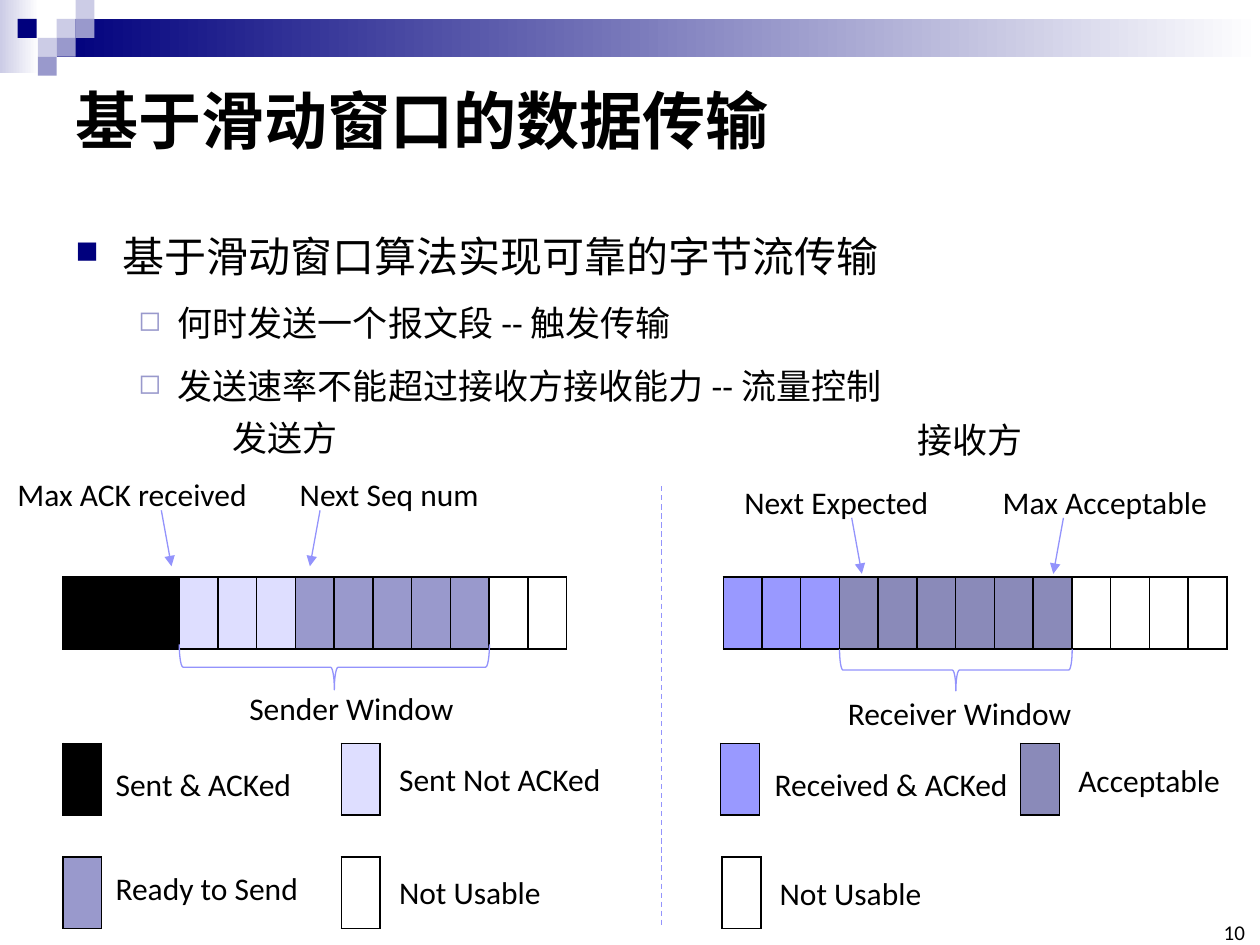
from lxml.etree import SubElement
from pptx import Presentation
from pptx.dml.color import RGBColor
from pptx.enum.dml import MSO_LINE
from pptx.enum.shapes import MSO_CONNECTOR, MSO_SHAPE
from pptx.enum.text import MSO_ANCHOR, MSO_AUTO_SIZE, PP_ALIGN
from pptx.oxml.ns import qn
from pptx.util import Pt

CELL = 288 / 13
HIGH = 41.04
BLACK, WHITE, NAVY = "000000", "FFFFFF", "00007D"
PALE, MID, LILAC = "CCCCE6", "9999CC", "DEDEFF"
BLUE, SLATE, LINE = "9999FF", "8A8AB9", "9393FC"


def color(code):
    return RGBColor.from_string(code)


def write(para, text, size=18, font="Calibri", bold=False, align=None):
    run = para.add_run()
    run.text = text
    run.font.size = Pt(size)
    run.font.bold = bold
    run.font.name = font
    run.font.color.rgb = color(BLACK)
    SubElement(run._r.get_or_add_rPr(), qn("a:ea"), typeface=font)
    if align is not None:
        para.alignment = align


class Board:
    def __init__(self, slide):
        self.slide = slide
        self.shapes = slide.shapes

    def rect(self, x, y, w, h, fill, end=None):
        shape = self.shapes.add_shape(MSO_SHAPE.RECTANGLE, Pt(x), Pt(y), Pt(w), Pt(h))
        shape.shadow.inherit = False
        shape.line.fill.background()
        if end:
            shape.fill.gradient()
            shape.fill.gradient_angle = 0
            for stop, code in zip(shape.fill.gradient_stops, (fill, end)):
                stop.color.rgb = color(code)
        else:
            shape.fill.solid()
            shape.fill.fore_color.rgb = color(fill)

    def frame(self, x, y, w, h, wrap=True, anchor=MSO_ANCHOR.TOP):
        frame = self.shapes.add_textbox(Pt(x), Pt(y), Pt(w), Pt(h)).text_frame
        frame.word_wrap = wrap
        frame.vertical_anchor = anchor
        return frame

    def label(self, x, y, w, text, h=28.8, **style):
        frame = self.frame(x, y, w, h, wrap=False)
        frame.auto_size = MSO_AUTO_SIZE.SHAPE_TO_FIT_TEXT
        write(frame.paragraphs[0], text, **style)

    def bullet(self, para, mark, code, scale, left, hang):
        para.line_spacing = 1.5
        props = para._p.get_or_add_pPr()
        props.set("marL", str(Pt(left)))
        props.set("indent", str(-Pt(hang)))
        tint = SubElement(props, qn("a:buClr"))
        SubElement(tint, qn("a:srgbClr"), val=code)
        SubElement(props, qn("a:buSzPct"), val=str(scale * 1000))
        SubElement(props, qn("a:buChar"), char=mark)

    def cells(self, x, y, fills):
        table = self.shapes.add_table(
            1, len(fills), Pt(x), Pt(y), Pt(CELL * len(fills)), Pt(HIGH)).table
        table.first_row = table.horz_banding = False
        for col, code in enumerate(fills):
            table.columns[col].width = Pt(CELL)
            cell = table.cell(0, col)
            props = cell._tc.get_or_add_tcPr()
            for side in ("lnL", "lnR", "lnT", "lnB"):
                edge = SubElement(props, qn("a:" + side), w=str(Pt(1)))
                fill = SubElement(edge, qn("a:solidFill"))
                SubElement(fill, qn("a:srgbClr"), val=BLACK)
            cell.fill.solid()
            cell.fill.fore_color.rgb = color(code)

    def line(self, x1, y1, x2, y2, arrow=True):
        link = self.shapes.add_connector(
            MSO_CONNECTOR.STRAIGHT, Pt(x1), Pt(y1), Pt(x2), Pt(y2))
        link.line.color.rgb = color(LINE)
        link.line.width = Pt(0.75)
        if arrow:
            SubElement(link.get_or_add_ln(), qn("a:tailEnd"), type="triangle")
        else:
            link.line.dash_style = MSO_LINE.DASH
        SubElement(link._element.spPr, qn("a:effectLst"))

    def brace(self, x, y, w, h):
        shape = self.shapes.add_shape(
            MSO_SHAPE.LEFT_BRACE, Pt(x + (w - h) / 2), Pt(y + (h - w) / 2), Pt(h), Pt(w))
        shape.rotation = 270
        shape.shadow.inherit = False
        shape.fill.background()
        shape.line.color.rgb = color(LINE)
        shape.line.width = Pt(0.75)


deck = Presentation()
deck.slide_width, deck.slide_height = Pt(720), Pt(540)
board = Board(deck.slides.add_slide(deck.slide_layouts[6]))

board.rect(0, 0, 22.3, 41.8, PALE, end=WHITE)
board.rect(32.4, 10.8, 687.6, 21.6, NAVY, end=WHITE)
for x, y, code in [(32.4, 10.8, PALE), (43.2, 0, PALE), (43.2, 10.8, MID),
                   (21.6, 21.6, PALE), (10.1, 10.8, NAVY),
                   (32.4, 21.6, MID), (21.6, 32.4, MID)]:
    board.rect(x, y, 10.8, 10.8, code)

title = board.frame(36, 36, 648, 64, anchor=MSO_ANCHOR.MIDDLE)
write(title.paragraphs[0], "基于滑动窗口的数据传输", size=36, bold=True)

body = board.frame(36, 113.8, 648, 136.8)
for index, (text, top) in enumerate([
        ("基于滑动窗口算法实现可靠的字节流传输", True),
        ("何时发送一个报文段 -- 触发传输", False),
        ("发送速率不能超过接收方接收能力 -- 流量控制", False)]):
    para = body.add_paragraph() if index else body.paragraphs[0]
    if top:
        board.bullet(para, "■", NAVY, 75, 27, 27)
    else:
        para.level = 1
        board.bullet(para, "◻", MID, 80, 58.5, 22.5)
    write(para, text, size=24 if top else 20)

sides = [
    (36, [BLACK] * 3 + [LILAC] * 3 + [MID] * 5 + [WHITE] * 2, 8, 368.3, 25.9),
    (413.3, [BLUE] * 3 + [SLATE] * 6 + [WHITE] * 4, 6, 371, 23.8),
]
for x, fills, span, y, deep in sides:
    board.cells(x, 329.8, fills)
    board.brace(x + 3 * CELL, y, span * CELL, deep)

for x, y, code in [(36, 424.8, BLACK), (195.1, 424.8, LILAC),
                   (36, 489.6, MID), (195.1, 489.6, WHITE),
                   (411.8, 424.8, BLUE), (583.2, 424.8, SLATE),
                   (412.6, 489.6, WHITE)]:
    board.cells(x, y, [code])

for x, y, w, text in [
        (2.9, 267.8, 146.9, "Max ACK received"), (164.2, 267.8, 118.1, "Next Seq num"),
        (418.3, 272.2, 121, "Next Expected"), (565.9, 272.2, 132.5, "Max Acceptable"),
        (135.4, 390.2, 132.5, "Sender Window"), (477.4, 393.1, 144, "Receiver Window"),
        (59, 433.4, 115.9, "Sent & ACKed"), (221, 430.6, 131, "Sent Not ACKed"),
        (59, 493.2, 120.2, "Ready to Send"), (221, 495.4, 96.5, "Not Usable"),
        (435.6, 433.4, 149, "Received & ACKed"), (609.1, 431.3, 96.5, "Acceptable"),
        (438.5, 496.1, 96.5, "Not Usable")]:
    board.label(x, y, w, text)

for x, y, text in [(126, 234.7, "发送方"), (517, 235.4, "接收方")]:
    board.label(x, y, 74.9, text, h=31.7, size=20, font="Noto Sans CJK SC")

for x, y, shift in [(92.2, 291.6, 5.8), (182.9, 291.6, -5.8),
                    (486.7, 295.9, 5.8), (607.7, 295.9, -5.8)]:
    board.line(x, y, x + shift, y + 32)
board.line(378, 277.9, 378, 529.9, arrow=False)

page = board.frame(694.8, 527.8, 16.6, 12.2, anchor=MSO_ANCHOR.BOTTOM)
page.margin_left = page.margin_right = page.margin_top = page.margin_bottom = 0
write(page.paragraphs[0], "10", size=12, align=PP_ALIGN.RIGHT)

deck.save("out.pptx")
